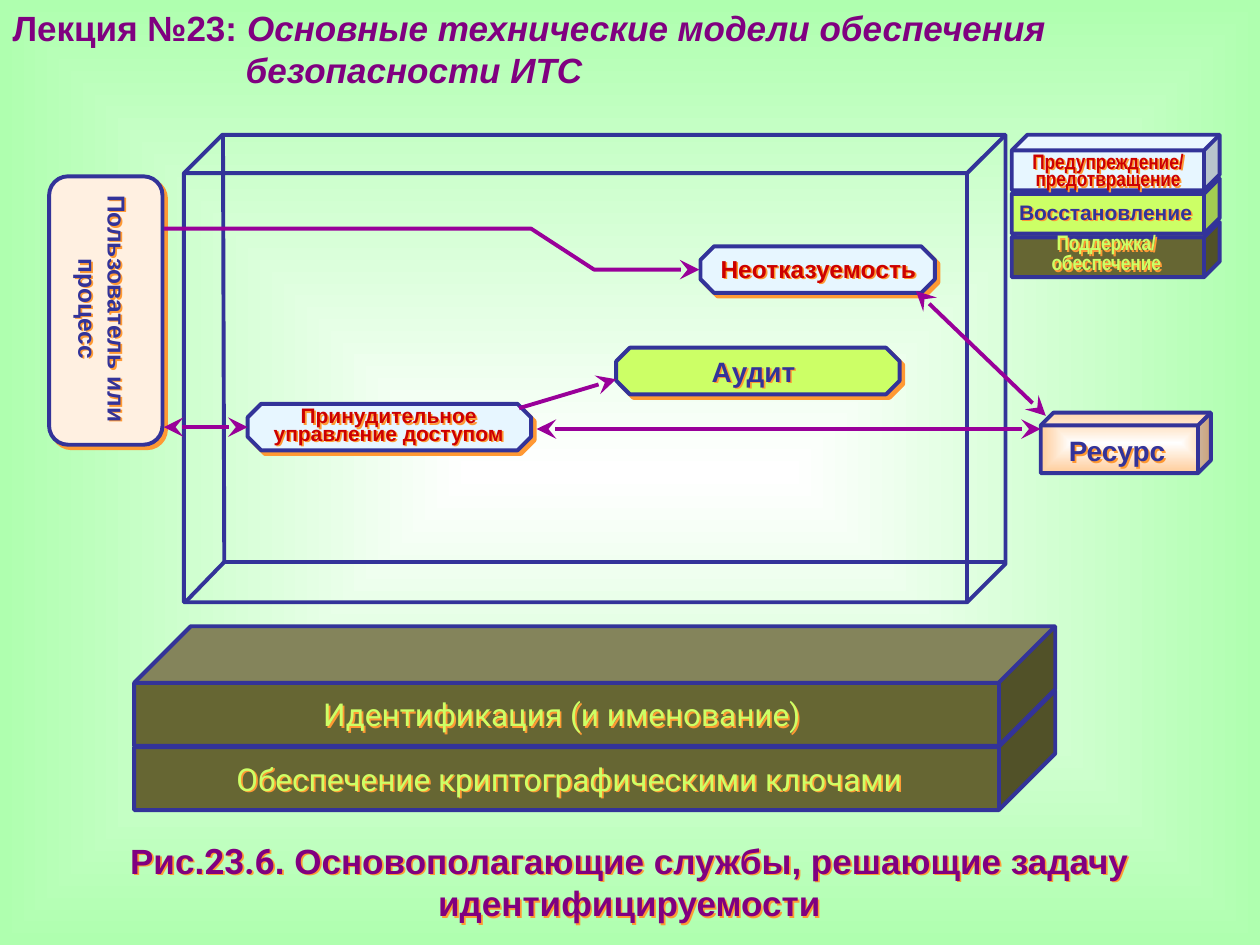
from lxml import etree
from pptx import Presentation
from pptx.dml.color import RGBColor
from pptx.enum.shapes import MSO_CONNECTOR, MSO_SHAPE
from pptx.enum.text import MSO_ANCHOR, MSO_AUTO_SIZE, PP_ALIGN
from pptx.oxml import parse_xml
from pptx.oxml.ns import nsdecls, qn
from pptx.util import Inches, Pt

CUBE, OCTAGON, ROUND = MSO_SHAPE.CUBE, MSO_SHAPE.OCTAGON, MSO_SHAPE.ROUNDED_RECTANGLE
STRAIGHT = MSO_CONNECTOR.STRAIGHT
LEFT, CENTER = PP_ALIGN.LEFT, PP_ALIGN.CENTER
TOP, MIDDLE = MSO_ANCHOR.TOP, MSO_ANCHOR.MIDDLE
FIXED = MSO_AUTO_SIZE.NONE

COLS, ROWS = 100, 75
CELL = Inches(0.1)
NAVY, PURPLE, ARROW, RED = "333399", "800080", "990099", "CC0000"
OLIVE, LIME, ICE, CREAM, ORANGE = "666633", "CCFF66", "E7F6FF", "FFF0E1", "FF9933"


def rgb(value):
    return RGBColor.from_string(value)


def cells(*values):
    return [round(v * CELL) for v in values]


class Diagram:
    font, line_width = "Arial", Pt(2.25)
    shape_shadow, text_shadow = Pt(2.8), Pt(1.4)

    def __init__(self, prs):
        self.s = prs.slides.add_slide(prs.slide_layouts[5])

    def gradient(self, parent, edge, kind):
        old = parent.find(qn("a:gradFill"))
        parent.replace(old, parse_xml(
            f'<a:gradFill {nsdecls("a")} rotWithShape="1"><a:gsLst>'
            '<a:gs pos="0"><a:srgbClr val="FFFFFF"/></a:gs>'
            f'<a:gs pos="100000"><a:srgbClr val="{edge}"/></a:gs></a:gsLst>'
            f'<a:path path="{kind}"><a:fillToRect l="50000" t="50000" r="50000" b="50000"/>'
            '</a:path></a:gradFill>'))

    def background(self, edge):
        self.s.background.fill.gradient()
        self.gradient(self.s._element.find(".//" + qn("p:bgPr")), edge, "shape")

    def shadow(self, sp, distance):
        sp.shadow.inherit = False
        effects = sp._element.spPr.find(qn("a:effectLst"))
        shade = etree.SubElement(effects, qn("a:outerShdw"), dist=str(distance), dir="2700000",
                                 algn="ctr", rotWithShape="0")
        etree.SubElement(shade, qn("a:srgbClr"), val=ORANGE)

    def style(self, r, size, color, bold=True, font=None, italic=False):
        r.font.name, r.font.size = font or self.font, Pt(size)
        r.font.bold, r.font.italic = bold, italic
        r.font.color.rgb = rgb(color)

    def title(self, label, lines, size):
        sp = self.s.shapes.title
        sp.left, sp.top, sp.width, sp.height = cells(0, 0, COLS, 7.7)
        tf = sp.text_frame
        tf.word_wrap, tf.auto_size, tf.vertical_anchor = True, FIXED, TOP
        tf.text = "\n".join(lines)
        for p in tf.paragraphs:
            p.alignment, p.line_spacing = LEFT, 1.0
            self.style(p.runs[0], size, PURPLE, italic=True)
        first, second = tf.paragraphs
        r = first.add_run()
        r.text = label
        self.style(r, size, PURPLE)
        first.runs[0]._r.addprevious(r._r)
        second._p.get_or_add_pPr().set("marL", str(Inches(1.85)))

    def shape(self, kind, box, adj, fill=None, edge=None, shadow=False):
        sp = self.s.shapes.add_shape(kind, *cells(*box))
        sp.adjustments[0] = adj
        sp.shadow.inherit = False
        if edge:
            sp.fill.gradient()
            self.gradient(sp._element.spPr, edge, "rect")
        elif fill:
            sp.fill.solid()
            sp.fill.fore_color.rgb = rgb(fill)
        else:
            sp.fill.background()
        sp.line.color.rgb, sp.line.width = rgb(NAVY), self.line_width
        if shadow:
            self.shadow(sp, self.shape_shadow)

    def text(self, box, words, size, color, bold=True, font=None, spacing=1.0, vertical=False):
        sp = self.s.shapes.add_textbox(*cells(*box))
        self.shadow(sp, self.text_shadow)
        tf = sp.text_frame
        tf.word_wrap, tf.auto_size = True, FIXED
        tf.vertical_anchor = TOP if vertical else MIDDLE
        tf.margin_left = tf.margin_right = tf.margin_top = tf.margin_bottom = 0
        if vertical:
            tf._txBody.bodyPr.set("vert", "eaVert")
        tf.text = words
        for p in tf.paragraphs:
            p.alignment, p.line_spacing = CENTER, spacing
            for r in p.runs:
                self.style(r, size, color, bold, font)
        return tf

    def caption(self, box, parts, size):
        p = self.text(box, "", size, PURPLE).paragraphs[0]
        for words, font in parts:
            r = p.add_run()
            r.text = words
            self.style(r, size, PURPLE, font=font)

    def stroke(self, sp, color, ends):
        sp.line.color.rgb, sp.line.width = rgb(color), self.line_width
        ln = sp.line._get_or_add_ln()
        for end in ends:
            etree.SubElement(ln, qn(f"a:{end}"), type="stealth", w="lg", len="lg")

    def line(self, start, end, color=ARROW, ends=()):
        sp = self.s.shapes.add_connector(STRAIGHT, *cells(*start, *end))
        etree.SubElement(sp._element.spPr, qn("a:effectLst"))
        self.stroke(sp, color, ends)

    def path_arrow(self, *points):
        start, *rest = [cells(*point) for point in points]
        builder = self.s.shapes.build_freeform(*start)
        builder.add_line_segments(rest, close=False)
        sp = builder.convert_to_shape()
        sp.fill.background()
        sp.shadow.inherit = False
        self.stroke(sp, ARROW, ["tailEnd"])


def main():
    prs = Presentation()
    prs.slide_width, prs.slide_height = COLS * CELL, ROWS * CELL
    d = Diagram(prs)
    both, tail = ("headEnd", "tailEnd"), ("tailEnd",)

    d.background("AFFFAF")
    d.title("Лекция №23: ", ["Основные технические модели обеспечения", "безопасности ИТС"], 20)
    d.caption((2.7, 66.6, 94.5, 6.7), [
        ("Рис.", "Arial"), ("23.6", "Roboto"),
        (". Основополагающие службы, решающие задачу идентифицируемости", "Arial")], 20)

    for top in (54.8, 49.7):
        d.shape(CUBE, (10.65, top, 73.1, 9.5), 0.473, OLIVE)
    for left, top, words in ((12, 55.2, "Идентификация (и именование)"),
                             (12.6, 60.3, "Обеспечение криптографическими ключами")):
        d.text((left, top, 65.2, 3), words, 18, LIME, bold=False, font="Roboto")

    d.shape(CUBE, (14.6, 10.7, 65.2, 37.1), 0.082)
    corner = (17.8, 44.6)
    for end in ((17.7, 10.8), (14.7, 47.8), (79.8, 44.6)):
        d.line(corner, end, NAVY)

    d.shape(ROUND, (3.9, 14, 9, 21.3), 0.167, CREAM, shadow=True)
    d.text((5.9, 15.5, 4.6, 18.4), "Пользователь или процесс", 14, NAVY, vertical=True)

    for box, fill in (((48.9, 27.6, 22.5, 3.7), LIME), ((19.65, 32.05, 22.5, 3.7), ICE),
                      ((55.6, 19.55, 18.6, 3.7), ICE)):
        d.shape(OCTAGON, box, 0.293, fill, shadow=True)
    d.shape(CUBE, (82.6, 32.75, 13.5, 4.8), 0.211, edge="FFCC99")
    d.text((83.9, 34.4, 9.5, 2.7), "Ресурс", 16, NAVY)

    d.path_arrow((13, 18.15), (42.15, 18.15), (47.15, 21.4), (55.5, 21.4))
    for start, end, ends in (((13, 33.9), (19.65, 33.9), both), ((72.7, 23.1), (83, 33), both),
                             ((42.6, 34.05), (82.6, 34.05), both),
                             ((41.2, 32.4), (48.9, 30.1), tail)):
        d.line(start, end, ends=ends)

    d.text((56.25, 20.15, 17.4, 2.3), "Неотказуемость", 14, RED)
    d.text((21.3, 32.5, 19.1, 2.8), "Принудительное управление доступом", 12, RED, spacing=0.7)
    d.text((52.9, 28.1, 13.8, 2.7), "Аудит", 16, NAVY)

    for row, fill in enumerate((OLIVE, LIME, ICE)):
        d.shape(CUBE, (80.3, 17.6 - 3.45 * row, 16.5, 4.4), 0.282, fill)
    d.text((81.4, 18.6, 12.8, 3.2), "Поддержка/\nобеспечение", 12, LIME,
           font="Arial Narrow", spacing=0.8)
    d.text((80.6, 15.8, 14.3, 2), "Восстановление", 12, NAVY)
    d.text((80.6, 12.3, 14.7, 2.8), "Предупреждение/\nпредотвращение", 12, RED,
           font="Arial Narrow", spacing=0.7)

    prs.save("out.pptx")


if __name__ == "__main__":
    main()
